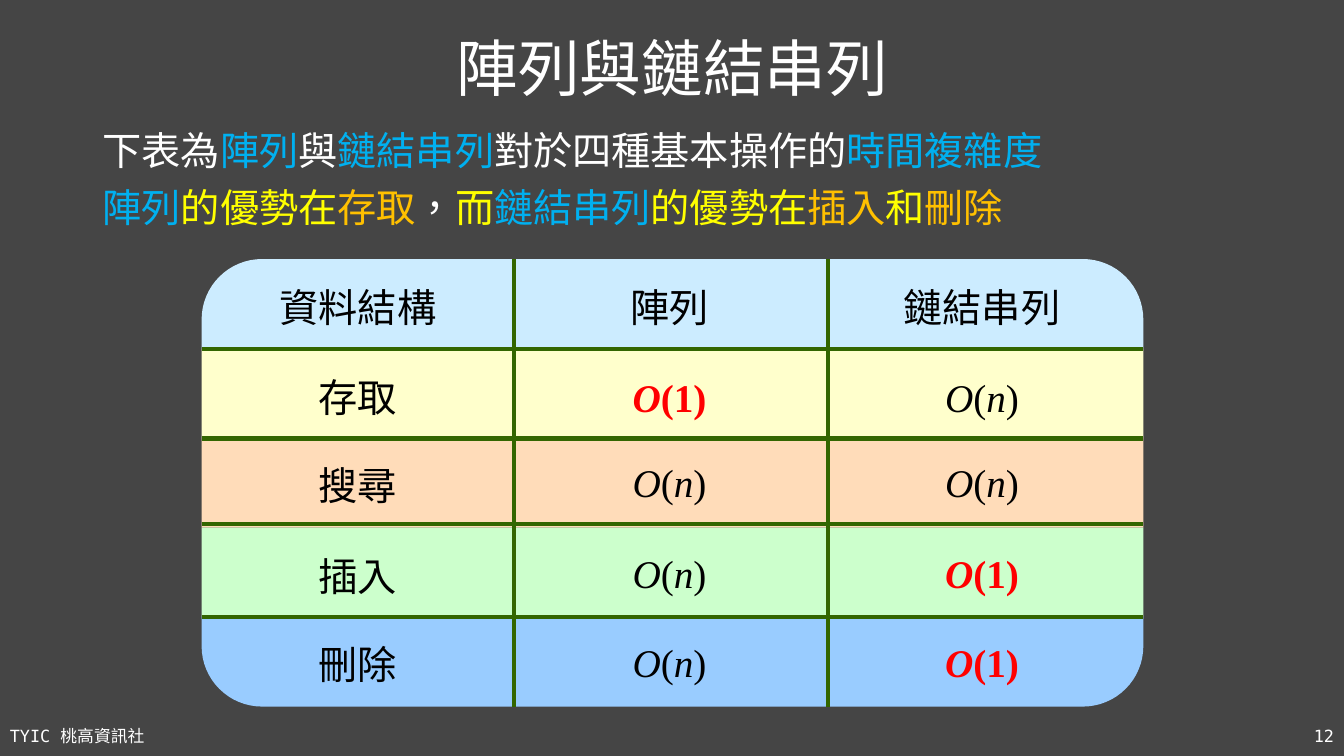
"""Build the slide comparing time complexity of arrays and linked lists."""
import math

import pptx
import pptx.dml.color
import pptx.enum.lang
import pptx.enum.shapes
import pptx.enum.text
import pptx.oxml
import pptx.oxml.ns
import pptx.util

Inches = pptx.util.Inches
Pt = pptx.util.Pt
RGBColor = pptx.dml.color.RGBColor
ALIGN = pptx.enum.text.PP_ALIGN
ANCHOR = pptx.enum.text.MSO_ANCHOR

BACKGROUND = RGBColor(0x45, 0x45, 0x45)
WHITE = RGBColor(0xFF, 0xFF, 0xFF)
BLACK = RGBColor(0, 0, 0)
BLUE = RGBColor(0x00, 0xB0, 0xF0)
YELLOW = RGBColor(0xFF, 0xFF, 0x00)
ORANGE = RGBColor(0xFF, 0xC0, 0x00)
RED = RGBColor(0xFF, 0, 0)
GREEN = RGBColor(0x33, 0x66, 0x00)
BAND_COLORS = [
    RGBColor(0xCC, 0xEC, 0xFF),
    RGBColor(0xFF, 0xFF, 0xCC),
    RGBColor(0xFF, 0xDC, 0xB9),
    RGBColor(0xCC, 0xFF, 0xCC),
    RGBColor(0x99, 0xCC, 0xFF),
]
SANS = "DejaVu Sans Mono"
SERIF = "Times New Roman"

TITLE = "陣列與鏈結串列"
CLUB = "TYIC 桃高資訊社"
PAGE = "12"
SUMMARY = [
    [("下表為", WHITE), ("陣列", BLUE), ("與", WHITE), ("鏈結串列", BLUE),
     ("對於四種基本操作的", WHITE), ("時間複雜度", BLUE)],
    [("陣列", BLUE), ("的優勢在", YELLOW), ("存取", ORANGE), ("，", WHITE),
     ("而", YELLOW), ("鏈結串列", BLUE), ("的優勢在", YELLOW),
     ("插入", ORANGE), ("和", YELLOW), ("刪除", ORANGE)],
]
COMPLEXITY = [
    ("資料結構", "陣列", "鏈結串列"),
    ("存取", "O(1)", "O(n)"),
    ("搜尋", "O(n)", "O(n)"),
    ("插入", "O(n)", "O(1)"),
    ("刪除", "O(n)", "O(1)"),
]

LEFT, TOP, WIDTH, ROW_HEIGHT, RADIUS = 2, 2.57, 9.34, 0.888, 0.6
RIGHT, BOTTOM = LEFT + WIDTH, TOP + ROW_HEIGHT * len(COMPLEXITY)
ROW_RULES = [3.46, 4.35, 5.2, 6.12]
COLUMN_RULES = [5.1, 8.21]
COLUMN_CENTERS = [3.55, 6.64, 9.74]
LABEL_TOPS = [2.76, 3.65, 4.53, 5.43, 6.3]
ORDER_TOPS = [2.76, 3.65, 4.5, 5.4, 6.28]
CELL_HEIGHT = 0.57
ARC_STEPS = 16


def add_run(paragraph, text, size, color, face=SANS, bold=False, italic=False):
    run = paragraph.add_run()
    run.text = text
    font = run.font
    font.name, font.size = face, Pt(size)
    font.bold, font.italic = bold, italic
    font.color.rgb = color
    font.language_id = pptx.enum.lang.MSO_LANGUAGE_ID.TRADITIONAL_CHINESE
    east_asian = pptx.oxml.parse_xml(
        f'<a:ea {pptx.oxml.ns.nsdecls("a")} typeface="{face}"/>')
    run._r.get_or_add_rPr().find(pptx.oxml.ns.qn("a:latin")).addnext(east_asian)


def add_text(slide, box, lines, size, align=ALIGN.LEFT, anchor=ANCHOR.MIDDLE,
             wrap=True, line_spacing=None, space_before=0):
    frame = slide.shapes.add_textbox(*map(Inches, box)).text_frame
    frame.word_wrap = wrap
    frame.vertical_anchor = anchor
    for index, pieces in enumerate(lines):
        paragraph = frame.add_paragraph() if index else frame.paragraphs[0]
        paragraph.alignment = align
        paragraph.line_spacing = line_spacing
        paragraph.space_before = Pt(space_before)
        for piece in pieces:
            add_run(paragraph, piece[0], size, *piece[1:])


def arc(center_x, center_y, start_degrees):
    angles = [math.radians(start_degrees + 90 * step / ARC_STEPS)
              for step in range(ARC_STEPS + 1)]
    return [(center_x + RADIUS * math.cos(a), center_y + RADIUS * math.sin(a))
            for a in angles]


def add_end_band(slide, top, rounded_top):
    bottom = top + ROW_HEIGHT
    inner_left, inner_right = LEFT + RADIUS, RIGHT - RADIUS
    if rounded_top:
        outline = (arc(inner_left, top + RADIUS, 180)
                   + arc(inner_right, top + RADIUS, 270)
                   + [(RIGHT, bottom), (LEFT, bottom)])
    else:
        outline = ([(LEFT, top), (RIGHT, top)]
                   + arc(inner_right, bottom - RADIUS, 0)
                   + arc(inner_left, bottom - RADIUS, 90))
    points = [(Inches(x), Inches(y)) for x, y in outline]
    builder = slide.shapes.build_freeform(*points[0])
    builder.add_line_segments(points[1:], close=True)
    return builder.convert_to_shape()


def add_bands(slide):
    for row, color in enumerate(BAND_COLORS):
        top = TOP + row * ROW_HEIGHT
        if row in (0, len(BAND_COLORS) - 1):
            band = add_end_band(slide, top, row == 0)
        else:
            band = slide.shapes.add_shape(
                pptx.enum.shapes.MSO_SHAPE.RECTANGLE,
                *map(Inches, (LEFT, top, WIDTH, ROW_HEIGHT)))
        band.shadow.inherit = False
        band.fill.solid()
        band.fill.fore_color.rgb = color
        band.line.fill.background()


def add_rules(slide):
    rules = [(LEFT, y, RIGHT, y) for y in ROW_RULES]
    rules += [(x, BOTTOM, x, TOP) for x in COLUMN_RULES]
    for ends in rules:
        rule = slide.shapes.add_connector(
            pptx.enum.shapes.MSO_CONNECTOR.STRAIGHT, *map(Inches, ends))
        rule.line.color.rgb = GREEN
        rule.line.width = Pt(3)
        rule._element.spPr.append(pptx.oxml.parse_xml(
            f'<a:effectLst {pptx.oxml.ns.nsdecls("a")}/>'))


def order_pieces(order):
    if order == "O(1)":
        return [("O", RED, SERIF, True, True), ("(1)", RED, SERIF, True)]
    return [(letter, BLACK, SERIF, False, letter.isalpha()) for letter in order]


def add_cells(slide):
    for row, entries in enumerate(COMPLEXITY):
        for center, entry in zip(COLUMN_CENTERS, entries):
            is_order = entry.startswith("O(")
            width = 0.95 if is_order else 0.2 + 0.39 * len(entry)
            top = (ORDER_TOPS if is_order else LABEL_TOPS)[row]
            pieces = order_pieces(entry) if is_order else [(entry, BLACK)]
            add_text(slide, (center - width / 2, top, width, CELL_HEIGHT),
                     [pieces], 28, ALIGN.CENTER, ANCHOR.TOP, wrap=False)


def main():
    deck = pptx.Presentation()
    deck.slide_width, deck.slide_height = Inches(13.33), Inches(7.5)
    slide = deck.slides.add_slide(deck.slide_layouts[6])
    slide.background.fill.solid()
    slide.background.fill.fore_color.rgb = BACKGROUND
    add_text(slide, (0, 7.1, 3, 0.4), [[(CLUB, WHITE)]], 12)
    add_text(slide, (10.33, 7.1, 3, 0.4), [[(PAGE, WHITE)]], 12, ALIGN.RIGHT)
    add_text(slide, (0.92, -0.02, 11.5, 1.45), [[(TITLE, WHITE)]], 44,
             ALIGN.CENTER, line_spacing=0.9)
    add_text(slide, (0.92, 1.26, 11.5, 1.13), SUMMARY, 28,
             anchor=ANCHOR.TOP, line_spacing=0.9, space_before=10)
    add_bands(slide)
    add_rules(slide)
    add_cells(slide)
    deck.save("out.pptx")


if __name__ == "__main__":
    main()
